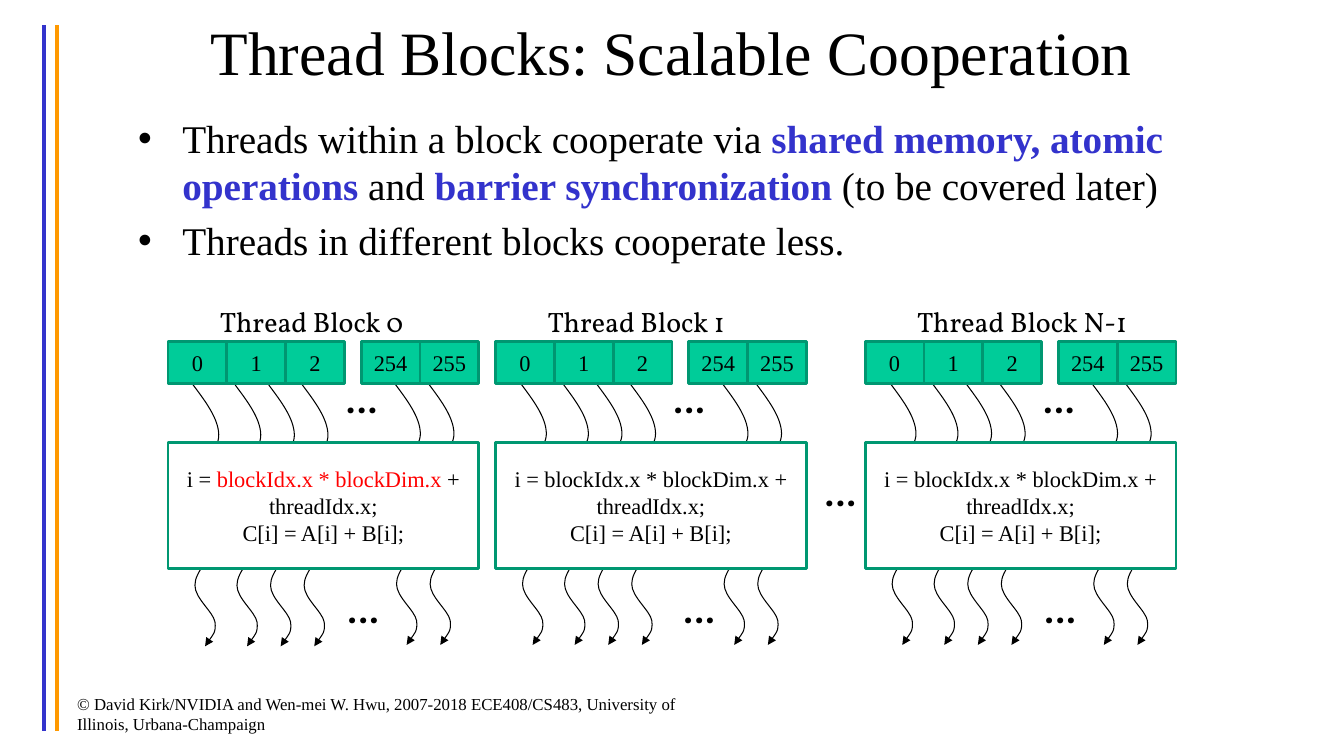
import pptx
import pptx.util
import pptx.dml.color
import pptx.enum.shapes
import pptx.enum.text
import pptx.oxml
import pptx.oxml.ns

Pt = pptx.util.Pt
RGB = pptx.dml.color.RGBColor
ALIGN = pptx.enum.text.PP_ALIGN
ANCHOR = pptx.enum.text.MSO_ANCHOR
FIT = pptx.enum.text.MSO_AUTO_SIZE
qn = pptx.oxml.ns.qn
NS = pptx.oxml.ns.nsdecls("a")

BLACK = RGB(0, 0, 0)
WHITE = RGB(255, 255, 255)
RED = RGB(255, 0, 0)
BLUE = RGB(0x33, 0x33, 0xCC)
ORANGE = RGB(0xFF, 0x99, 0)
GREEN = RGB(0, 0xCC, 0x99)
EDGE = RGB(0, 0x97, 0x71)

SERIF = "Times New Roman"
TITLE = {"name": SERIF, "size": Pt(44)}
BODY = {"name": SERIF, "size": Pt(28)}
CODE = {"name": SERIF, "size": Pt(16)}
NOTE = {"name": SERIF, "size": Pt(12)}
LABEL = {"name": "Vollkorn", "size": Pt(20)}
DOTS = {"name": "Vollkorn", "size": Pt(24), "bold": True}

# Left edge, block name, label width, shift of the lower dots
BLOCKS = [(120, "0", 148, 121), (354, "1", 148, 127), (618, "N-1", 171, 121)]
CELLS = [(0, "0"), (42, "1"), (84, "2"), (138, "254"), (180, "255")]
WAVES = [18, 48, 72, 96, 162, 186]
# Bezier points of one thread, relative to its start
CURVE = [(9, 12), (18, 24), (18.3, 35.5), (18.7, 47.2), (3, 57.6), (2.3, 70.4),
         (2, 83), (15.2, 99), (14.8, 111), (14.4, 123), (1, 133), (1.3, 143.2),
         (1.3, 152.5), (14.3, 162), (15.6, 169.3), (16.6, 177), (10, 184), (8.5, 186.7)]


def write(para, runs, style):
    """Add (text, colour, bold) runs to a paragraph."""
    for text, color, *bold in runs:
        run = para.add_run()
        run.text = text
        for key, val in {"bold": bool(bold), **style}.items():
            setattr(run.font, key, val)
        run.font.color.rgb = color


def place(shape, left, top, width, height):
    spots = {"left": left, "top": top, "width": width, "height": height}
    for key, val in spots.items():
        setattr(shape, key, Pt(val))


def rule(slide, x, color):
    line = slide.shapes.add_connector(
        pptx.enum.shapes.MSO_CONNECTOR.STRAIGHT, Pt(x), Pt(18), Pt(x), Pt(522))
    line.line.color.rgb = color
    line.line.width = Pt(3)
    line._element.spPr.append(pptx.oxml.parse_xml(f"<a:effectLst {NS}/>"))


def label(slide, text, style, left, top, width, height, wrap=False):
    box = slide.shapes.add_textbox(Pt(left), Pt(top), Pt(width), Pt(height))
    frame = box.text_frame
    frame.word_wrap = wrap
    frame.auto_size = FIT.NONE if wrap else FIT.SHAPE_TO_FIT_TEXT
    write(frame.paragraphs[0], [(text, BLACK)], style)


def dots(slide, left, top):
    label(slide, "…", DOTS, left, top, 39, 36)


def panel(slide, left, top, width, height, color, lines):
    box = slide.shapes.add_shape(
        pptx.enum.shapes.MSO_SHAPE.RECTANGLE, Pt(left), Pt(top), Pt(width), Pt(height))
    box.shadow.inherit = False
    box.fill.solid()
    box.fill.fore_color.rgb = color
    box.line.color.rgb = EDGE
    box.line.width = Pt(2)
    frame = box.text_frame
    frame.vertical_anchor = ANCHOR.MIDDLE
    for num, runs in enumerate(lines):
        para = frame.add_paragraph() if num else frame.paragraphs[0]
        para.alignment = ALIGN.CENTER
        write(para, runs, CODE)


def wave(slide, left, top):
    pen = slide.shapes.build_freeform(Pt(left), Pt(top))
    pen.add_line_segments([(Pt(left + x), Pt(top + y)) for x, y in CURVE], close=False)
    shape = pen.convert_to_shape()
    shape.shadow.inherit = False
    shape.fill.background()
    shape.line.color.rgb = BLACK
    shape.line.width = Pt(0.75)
    shape.line._get_or_add_ln().append(
        pptx.oxml.parse_xml(f'<a:tailEnd {NS} type="triangle"/>'))
    # Turn each three line segments into one curve
    track = next(shape._element.iter(qn("a:path")))
    steps = track.findall(qn("a:lnTo"))
    for num in range(0, len(steps), 3):
        bend = pptx.oxml.parse_xml(f"<a:cubicBezTo {NS}/>")
        for step in steps[num:num + 3]:
            bend.append(step[0])
            track.remove(step)
        track.append(bend)


def block(slide, left, name, width, shift, tint):
    top = 275 if name == "0" else 274
    for x in WAVES:
        wave(slide, left + x, top if x < 100 else 274)
    panel(slide, left, 316, 222, 90, WHITE, [
        [("i = ", BLACK), ("blockIdx.x * blockDim.x ", tint), ("+ threadIdx.x;", BLACK)],
        [("C[i] = A[i] + B[i];", BLACK)]])
    for x, text in CELLS:
        panel(slide, left + x, 244, 42, 30, GREEN, [[(text, BLACK)]])
    label(slide, "Thread Block " + name, LABEL, left + 30, 214, width, 32)
    dots(slide, left + 120, 268)
    dots(slide, left + shift, 418)


def heading(slide, text):
    title = slide.shapes.title
    place(title, 48, 0, 864, 72)
    frame = title.text_frame
    frame.auto_size = FIT.NONE
    frame.vertical_anchor = ANCHOR.MIDDLE
    frame.paragraphs[0].alignment = ALIGN.CENTER
    write(frame.paragraphs[0], [(text, BLACK)], TITLE)


def bullets(slide, items):
    body = slide.placeholders[1]
    place(body, 78, 78, 834, 126)
    frame = body.text_frame
    frame.auto_size = FIT.NONE
    for num, runs in enumerate(items):
        para = frame.add_paragraph() if num else frame.paragraphs[0]
        para.space_before = Pt(5.6 if num else 0)
        props = para._p.get_or_add_pPr()
        for key, val in {"marL": 45, "indent": -31.5}.items():
            props.set(key, str(Pt(val)))
        props.append(pptx.oxml.parse_xml(f'<a:buChar {NS} char="•"/>'))
        write(para, runs, BODY)


def main():
    deck = pptx.Presentation()
    deck.slide_width, deck.slide_height = Pt(960), Pt(540)
    slide = deck.slides.add_slide(deck.slide_layouts[1])

    # Side rules and copyright
    rule(slide, 31.5, BLUE)
    rule(slide, 40.5, ORANGE)
    label(slide, "© David Kirk/NVIDIA and Wen-mei W. Hwu, 2007-2018 ECE408/CS483, "
          "University of Illinois, Urbana-Champaign", NOTE, 48, 492, 456, 36, True)

    # Title and list
    heading(slide, "Thread Blocks: Scalable Cooperation")
    bullets(slide, [
        [("Threads within a block cooperate via ", BLACK),
         ("shared memory, atomic operations ", BLUE, True), ("and ", BLACK),
         ("barrier synchronization ", BLUE, True), ("(to be covered later)", BLACK)],
        [("Threads in different blocks cooperate less.", BLACK)]])

    # Thread blocks
    for num, item in enumerate(BLOCKS):
        block(slide, *item, BLACK if num else RED)
    dots(slide, 582, 334)
    deck.save("out.pptx")


if __name__ == "__main__":
    main()
